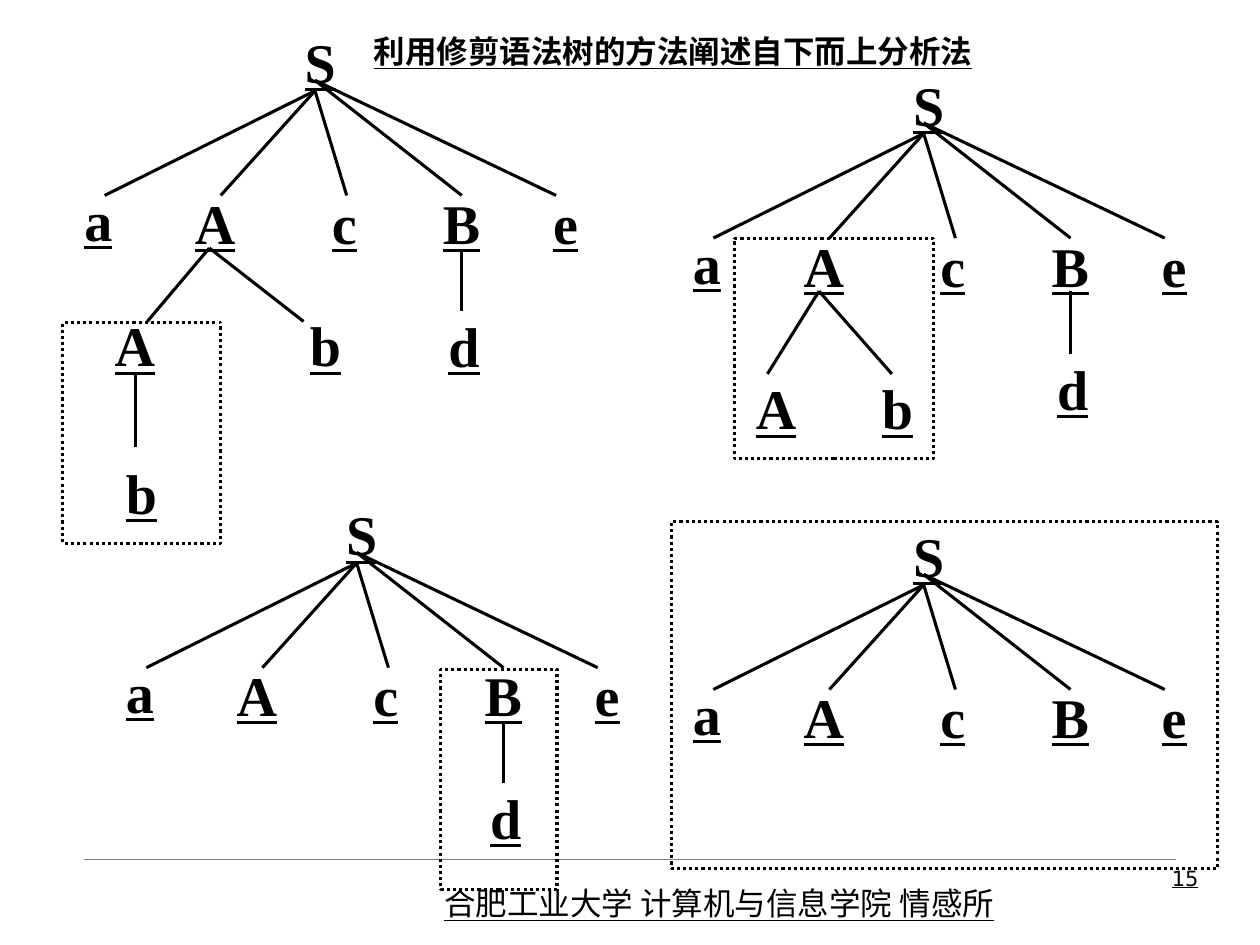
"""Build a slide that shows bottom-up parsing by pruning syntax trees."""
import pptx
import pptx.dml.color
import pptx.enum.dml
import pptx.enum.shapes
import pptx.enum.text
import pptx.oxml.ns
import pptx.util
import lxml.etree

Cm, Pt = pptx.util.Cm, pptx.util.Pt
ink = pptx.dml.color.RGBColor.from_string
Align = pptx.enum.text.PP_ALIGN
qn = pptx.oxml.ns.qn


def write(shapes, text, at, size, face, align=Align.LEFT, bold=False, pad=None, wrap=True):
    box = shapes.add_textbox(*map(Cm, at))
    frame = box.text_frame
    frame.word_wrap = wrap
    if pad is not None:
        frame.margin_left = frame.margin_right = Cm(pad)
        frame.margin_top = frame.margin_bottom = Cm(pad)
    para = frame.paragraphs[0]
    para.alignment = align
    run = para.add_run()
    run.text = text
    font = run.font
    font.size, font.name = Pt(size), face
    font.bold, font.underline = bold, True
    font.color.rgb = ink("000000")
    if not text.isascii():
        east = lxml.etree.SubElement(run._r.get_or_add_rPr(), qn("a:ea"))
        east.set("typeface", "Noto Sans CJK SC")


def draw(shapes, ends, color="000000", width=1.75):
    kind = pptx.enum.shapes.MSO_CONNECTOR.STRAIGHT
    line = shapes.add_connector(kind, *map(Cm, ends))
    line.line.color.rgb = ink(color)
    line.line.width = Pt(width)
    lxml.etree.SubElement(line._element.spPr, qn("a:effectLst"))


deck = pptx.Presentation()
deck.slide_width, deck.slide_height = Cm(25.4), Cm(19.05)
slide = deck.slides.add_slide(deck.slide_layouts[6])
shapes = slide.shapes

draw(shapes, (1.7, 17.32, 23.7, 17.32), "7F7F7F", 0.25)
write(shapes, "合肥工业大学 计算机与信息学院 情感所", (8.71, 17.7, 12.19, 1.02), 18, "Noto Sans CJK SC")

wide = {"S": 0.64, "a": 0.56, "A": 0.81, "c": 0.5, "B": 0.76, "e": 0.5, "b": 0.64, "d": 0.64}

# Offsets from the root of a tree
top = [("S", -0.21, -1.27), ("a", -4.65, 1.91), ("A", -2.42, 1.97),
       ("c", 0.34, 1.97), ("B", 2.58, 1.97), ("e", 4.8, 1.97)]
fan = [(0, 0, -4.24, 2.11), (0, 0, -1.9, 2.11), (0, 0, 0.64, 2.11),
       (0, -0.21, 2.96, 2.11), (0, -0.21, 4.86, 2.11)]
leaf = [("d", 2.69, 4.45)]
stem = [(2.96, 3.18, 2.96, 4.44)]

trees = [
    (6.35, 1.83,
     leaf + [("A", -4.04, 4.44), ("b", -0.1, 4.44), ("b", -3.81, 7.42)],
     stem + [(-2.13, 3.17, -3.38, 4.65), (-2.13, 3.17, -0.23, 4.65), (-3.61, 5.71, -3.61, 7.19)],
     (1.27, 6.5, 3.18, 4.45)),
    (18.62, 2.69,
     leaf + [("A", -3.38, 4.85), ("b", -0.84, 4.85)],
     stem + [(-2.11, 3.18, -3.15, 4.85), (-2.11, 3.18, -0.64, 4.85)],
     (14.81, 4.8, 4.01, 4.45)),
    (7.19, 11.35, leaf, stem, (8.89, 13.49, 2.34, 4.45)),
    (18.62, 11.79, [], [], (13.54, 10.52, 11, 6.99)),
]

for left, high, nodes, edges, frame in trees:
    group = shapes.add_group_shape().shapes
    for name, x, y in top + nodes:
        write(group, name, (left + x, high + y, wide[name], 1.35), 32,
              "Times New Roman", Align.JUSTIFY, True, 0, False)
    for x, y, right, low in fan + edges:
        draw(group, (left + x, high + y, left + right, high + low))
    prune = shapes.add_shape(pptx.enum.shapes.MSO_SHAPE.RECTANGLE, *map(Cm, frame))
    prune.shadow.inherit = False
    prune.fill.background()
    prune.line.color.rgb = ink("000000")
    prune.line.width = Pt(1.75)
    prune.line.dash_style = pptx.enum.dml.MSO_LINE.ROUND_DOT

write(shapes, "利用修剪语法树的方法阐述自下而上分析法", (7.29, 0.53, 13, 1.02), 18, "DejaVu Sans", bold=True)
write(shapes, "15", (18.9, 17.32, 5.51, 1.32), 12, "DejaVu Sans", Align.RIGHT)

deck.save("out.pptx")
